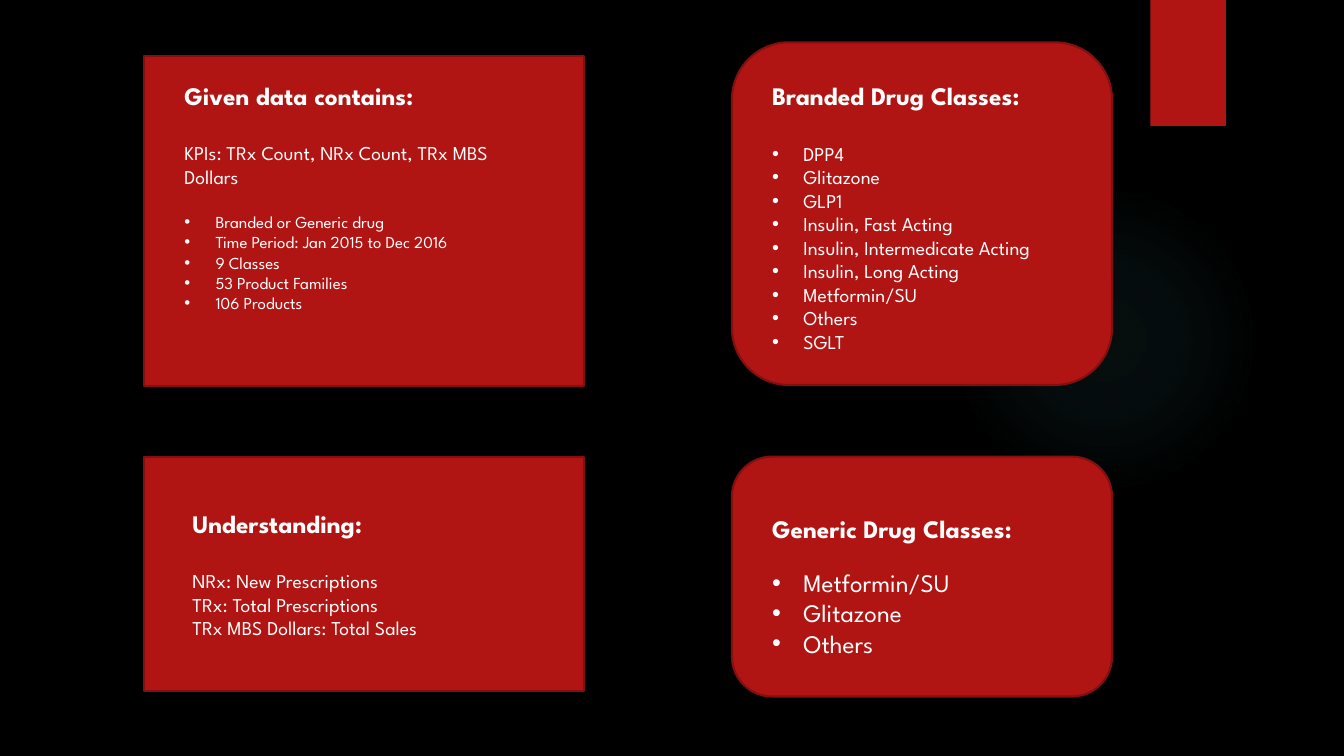
from lxml import etree
from pptx import Presentation
from pptx.dml.color import RGBColor
from pptx.enum.shapes import MSO_SHAPE
from pptx.enum.text import MSO_AUTO_SIZE
from pptx.oxml import parse_xml
from pptx.oxml.ns import nsdecls, qn
from pptx.util import Inches, Pt

RECT, ROUND, OVAL = MSO_SHAPE.RECTANGLE, MSO_SHAPE.ROUNDED_RECTANGLE, MSO_SHAPE.OVAL
FIT = MSO_AUTO_SIZE.SHAPE_TO_FIT_TEXT

FONT = "League Spartan"
BLACK, WHITE, RED, DARK_RED, TEAL = "000000", "FFFFFF", "B01513", "82100E", "50B9C1"
INDENT = 0.31

# Styles: size, bold, bulleted
HEADING = (18, True, False)
BODY = (14, False, False)
BULLET_SMALL = (12, False, True)
BULLET = (14, False, True)
BULLET_LARGE = (18, False, True)

# Cards: shape, left, top, width, height
CARDS = [
    (RECT, 1.43, 0.56, 4.36, 3.27),
    (RECT, 1.43, 4.53, 4.36, 2.33),
    (ROUND, 7.26, 0.42, 3.77, 3.4),
    (ROUND, 7.26, 4.53, 3.77, 2.38),
]

# Text boxes: place, then blocks of (style, space above in points, lines)
TEXTS = [
    ((1.73, 0.75, 3.76, 0.4), [(HEADING, 0, ["Given data contains:"])]),
    ((1.73, 1.35, 3.59, 2.02), [
        (BODY, 0, ["KPIs: TRx Count, NRx Count, TRx MBS Dollars"]),
        (BULLET_SMALL, 17, [
            "Branded or Generic drug", "Time Period: Jan 2015 to Dec 2016",
            "9 Classes", "53 Product Families", "106 Products"]),
    ]),
    ((1.81, 4.99, 3.43, 1.41), [
        (HEADING, 0, ["Understanding:"]),
        (BODY, 22, ["NRx: New Prescriptions", "TRx: Total Prescriptions",
                    "TRx MBS Dollars: Total Sales"]),
    ]),
    ((7.56, 0.75, 3.26, 3.13), [
        (HEADING, 0, ["Branded Drug Classes:"]),
        (BULLET, 22, [
            "DPP4", "Glitazone", "GLP1", "Insulin, Fast Acting",
            "Insulin, Intermedicate Acting", "Insulin, Long Acting",
            "Metformin/SU", "Others", "SGLT"]),
    ]),
    ((7.56, 5.58, 3.03, 1.01),
     [(BULLET_LARGE, 0, ["Metformin/SU", "Glitazone", "Others"])]),
    ((7.56, 5.04, 2.89, 0.71), [(HEADING, 0, ["Generic Drug Classes:"])]),
]

# Glow stops: position and opacity in percent
GLOW = [(0, 7), (36, 6), (69, 0)]


def color(value):
    return RGBColor.from_string(value)


def add_block(page, kind, place, fill=RED, line=None):
    shape = page.shapes.add_shape(kind, *map(Inches, place))
    shape.shadow.inherit = False
    shape.fill.solid()
    shape.fill.fore_color.rgb = color(fill)
    if line:
        shape.line.color.rgb = color(line)
        shape.line.width = Pt(1.5)
    else:
        shape.line.fill.background()
    return shape


def add_glow(page, place):
    properties = add_block(page, OVAL, place, TEAL)._element.spPr
    stops = "".join(
        f'<a:gs pos="{position * 1000}"><a:srgbClr val="{TEAL}">'
        f'<a:alpha val="{opacity * 1000}"/></a:srgbClr></a:gs>'
        for position, opacity in GLOW)
    gradient = parse_xml(
        f'<a:gradFill {nsdecls("a")}><a:gsLst>{stops}</a:gsLst><a:path path="circle">'
        '<a:fillToRect l="50000" t="50000" r="50000" b="50000"/></a:path></a:gradFill>')
    properties.replace(properties.find(qn("a:solidFill")), gradient)


def add_bullet(para):
    properties = para._p.get_or_add_pPr()
    properties.set("marL", str(Inches(INDENT)))
    properties.set("indent", str(-Inches(INDENT)))
    etree.SubElement(properties, qn("a:buFont")).set("typeface", "Arial")
    etree.SubElement(properties, qn("a:buChar")).set("char", "•")


def add_text(page, place, blocks):
    frame = page.shapes.add_textbox(*map(Inches, place)).text_frame
    frame.word_wrap = True
    frame.auto_size = FIT
    rows = [(style, 0 if number else gap, line)
            for style, gap, lines in blocks for number, line in enumerate(lines)]
    for number, ((size, bold, bulleted), gap, line) in enumerate(rows):
        para = frame.add_paragraph() if number else frame.paragraphs[0]
        para.space_before = Pt(gap)
        if bulleted:
            add_bullet(para)
        span = para.add_run()
        span.text = line
        span.font.color.rgb = color(WHITE)
        for name, value in {"name": FONT, "size": Pt(size), "bold": bold}.items():
            setattr(span.font, name, value)


def main():
    deck = Presentation()
    deck.slide_width, deck.slide_height = Inches(13.33), Inches(7.5)
    page = deck.slides.add_slide(deck.slide_layouts[6])

    # Background, glow and corner tab
    page.background.fill.solid()
    page.background.fill.fore_color.rgb = color(BLACK)
    add_glow(page, (9.41, 1.83, 3.08, 3.08))
    add_block(page, RECT, (11.41, 0, 0.75, 1.25))

    # Cards and their text
    for kind, *place in CARDS:
        add_block(page, kind, place, line=DARK_RED)
    for place, blocks in TEXTS:
        add_text(page, place, blocks)

    deck.save("out.pptx")


if __name__ == "__main__":
    main()
